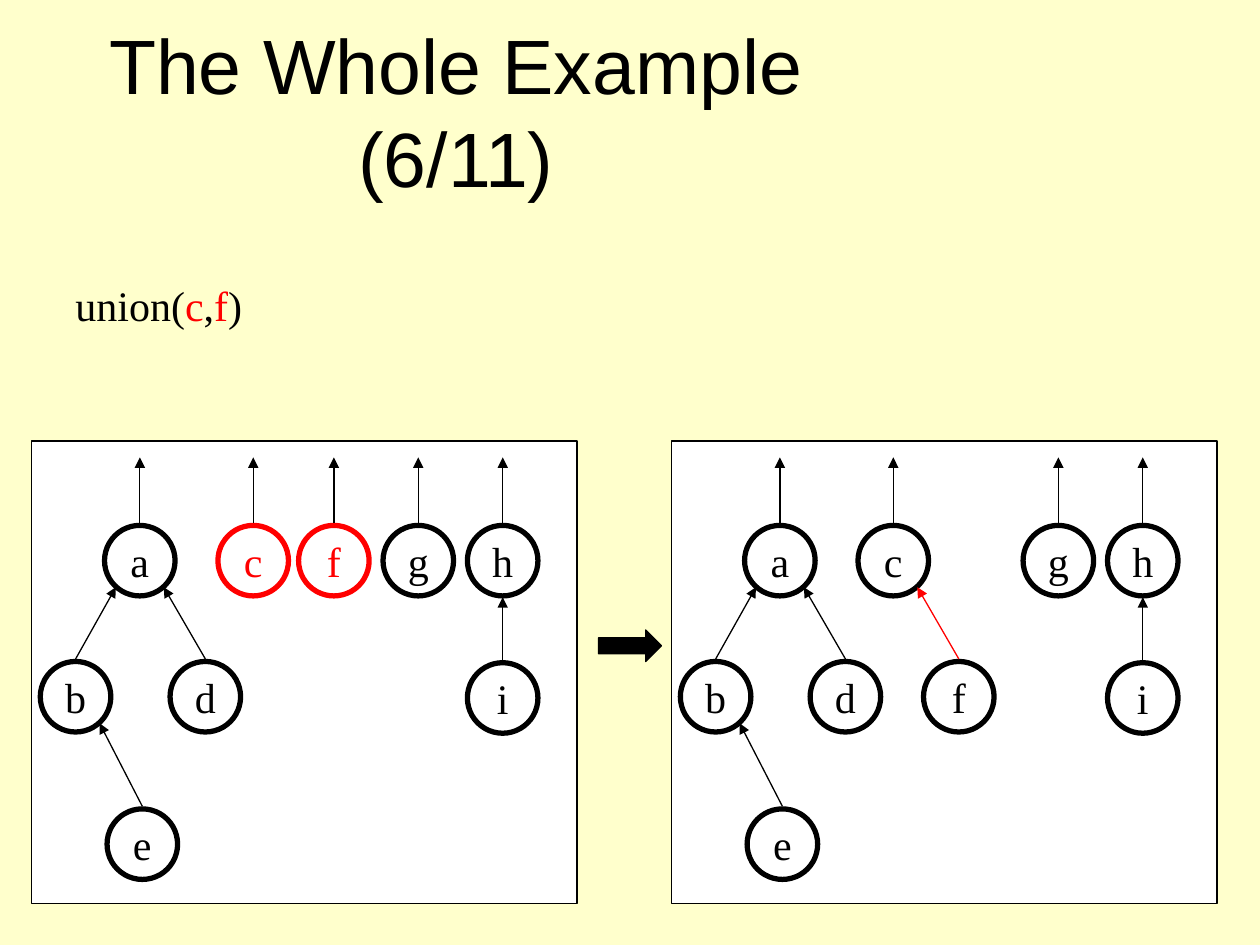
from lxml.etree import SubElement
from pptx import Presentation
from pptx.dml.color import RGBColor
from pptx.enum.shapes import MSO_CONNECTOR, MSO_SHAPE
from pptx.enum.text import MSO_ANCHOR, PP_ALIGN
from pptx.oxml.ns import qn
from pptx.util import Inches, Pt

COLORS = {"paper": "FFFFCC", "panel": "FFFFFF", "ink": "000000", "accent": "FF0000"}
NODE_SIZE = 0.56
ROOT_TOP, CHILD_TOP, LEAF_TOP = 4.17, 5.25, 6.42
ROOT_LEFTS = {"f": 2.12, "g": 2.79, "h": 3.46, "a": 0.58, "c": 1.48}
DESCENDANTS = {
    "b": ("a", 0.07, CHILD_TOP),
    "i": ("h", 3.46, CHILD_TOP + 0.01),
    "d": ("a", 1.1, CHILD_TOP),
    "e": ("b", 0.6, LEAF_TOP),
}


class ForestSlide:
    heading_font = "Arial"
    body_font = "Times New Roman"

    def __init__(self, slide):
        self.slide = slide
        slide.background.fill.solid()
        slide.background.fill.fore_color.rgb = self.color("paper")

    def color(self, name):
        return RGBColor.from_string(COLORS[name])

    def style_run(self, run, font, size, color="ink"):
        run.font.name = font
        run.font.size = Pt(size)
        run.font.color.rgb = self.color(color)

    def text(self, box, parts, font, size, align, anchor):
        label = self.slide.shapes.add_textbox(*map(Inches, box))
        frame = label.text_frame
        frame.word_wrap = True
        frame.vertical_anchor = anchor
        paragraph = frame.paragraphs[0]
        paragraph.alignment = align
        for wording, color in parts:
            run = paragraph.add_run()
            run.text = wording
            self.style_run(run, font, size, color)

    def shape(self, kind, box, fill=None, line="ink", width=0.75):
        shape = self.slide.shapes.add_shape(kind, *map(Inches, box))
        shape.shadow.inherit = False
        if fill:
            shape.fill.solid()
            shape.fill.fore_color.rgb = self.color(fill)
        else:
            shape.fill.background()
        shape.line.color.rgb = self.color(line)
        shape.line.width = Pt(width)
        return shape

    def node(self, letter, left, top, color):
        box = (left, top, NODE_SIZE, NODE_SIZE)
        circle = self.shape(MSO_SHAPE.OVAL, box, line=color, width=3)
        frame = circle.text_frame
        frame.text = letter
        frame.word_wrap = False
        frame.vertical_anchor = MSO_ANCHOR.MIDDLE
        paragraph = frame.paragraphs[0]
        paragraph.alignment = PP_ALIGN.CENTER
        self.style_run(paragraph.runs[0], self.body_font, 24, color)

    def arrow(self, start, end, color="ink"):
        link = self.slide.shapes.add_connector(
            MSO_CONNECTOR.STRAIGHT, *map(Inches, (*start, *end)))
        link.line.color.rgb = self.color(color)
        link.line.width = Pt(0.75)
        SubElement(link.line._get_or_add_ln(), qn("a:tailEnd"), type="triangle")
        SubElement(link._element.spPr, qn("a:effectLst"))

    def parent_arrow(self, child, parent, color):
        middle = NODE_SIZE / 2
        child_x, parent_x = child[0] + middle, parent[0] + middle
        start = (child_x, child[1] - 0.02)
        if child_x == parent_x:
            end = (parent_x, parent[1] + 0.57)
        else:
            side = 0.19 if child_x > parent_x else -0.19
            end = (parent_x + side, parent[1] + 0.49)
        self.arrow(start, end, color)

    def forest(self, left, roots, descendants, node_accents="", link_accents=""):
        self.shape(MSO_SHAPE.RECTANGLE, (left, 3.5, 4.33, 3.67), fill="panel")
        places = {}
        for letter, offset in roots.items():
            places[letter] = (left + offset, ROOT_TOP)
        for letter, (_, offset, top) in descendants.items():
            places[letter] = (left + offset, top)
        for letter, (x, top) in places.items():
            self.node(letter, x, top, "accent" if letter in node_accents else "ink")
            if letter in roots:
                center = x + NODE_SIZE / 2
                self.arrow((center, top - 0.02), (center, 3.63))
            else:
                parent = places[descendants[letter][0]]
                color = "accent" if letter in link_accents else "ink"
                self.parent_arrow((x, top), parent, color)


def main():
    deck = Presentation()
    deck.slide_width, deck.slide_height = Inches(10), Inches(7.5)
    page = ForestSlide(deck.slides.add_slide(deck.slide_layouts[6]))

    page.text((0.08, 0.25, 7.08, 1.25), [("The Whole Example (6/11)", "ink")],
              page.heading_font, 44, PP_ALIGN.CENTER, MSO_ANCHOR.MIDDLE)
    operation = [("union(", "ink"), ("c", "accent"), (",", "ink"),
                 ("f", "accent"), (")", "ink")]
    page.text((0.5, 2.17, 1.6, 0.5), operation,
              page.body_font, 24, PP_ALIGN.LEFT, MSO_ANCHOR.TOP)

    page.forest(0.25, ROOT_LEFTS, DESCENDANTS, node_accents="cf")
    merged_roots = {letter: x for letter, x in ROOT_LEFTS.items() if letter != "f"}
    merged_descendants = {"f": ("c", 2, CHILD_TOP), **DESCENDANTS}
    page.forest(5.33, merged_roots, merged_descendants, link_accents="f")
    page.shape(MSO_SHAPE.RIGHT_ARROW, (4.75, 5, 0.5, 0.25), fill="ink")

    deck.save("out.pptx")


if __name__ == "__main__":
    main()
